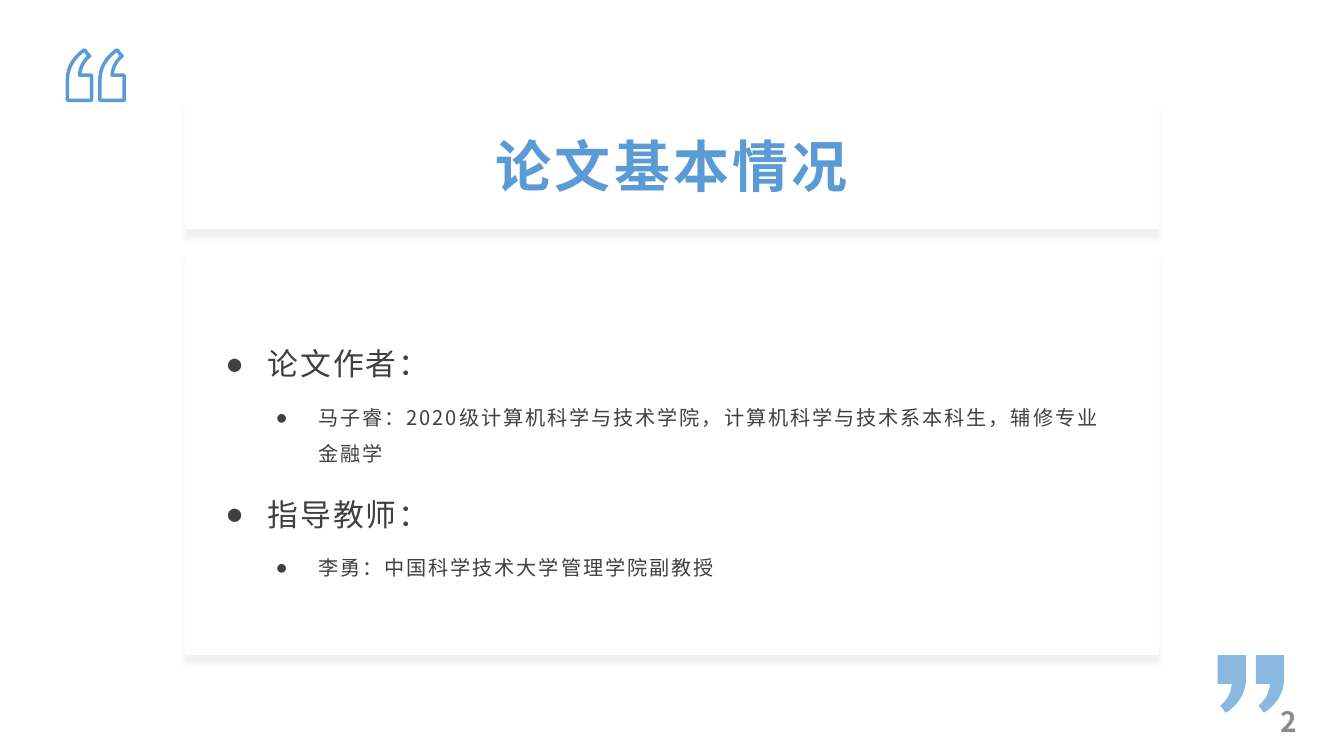
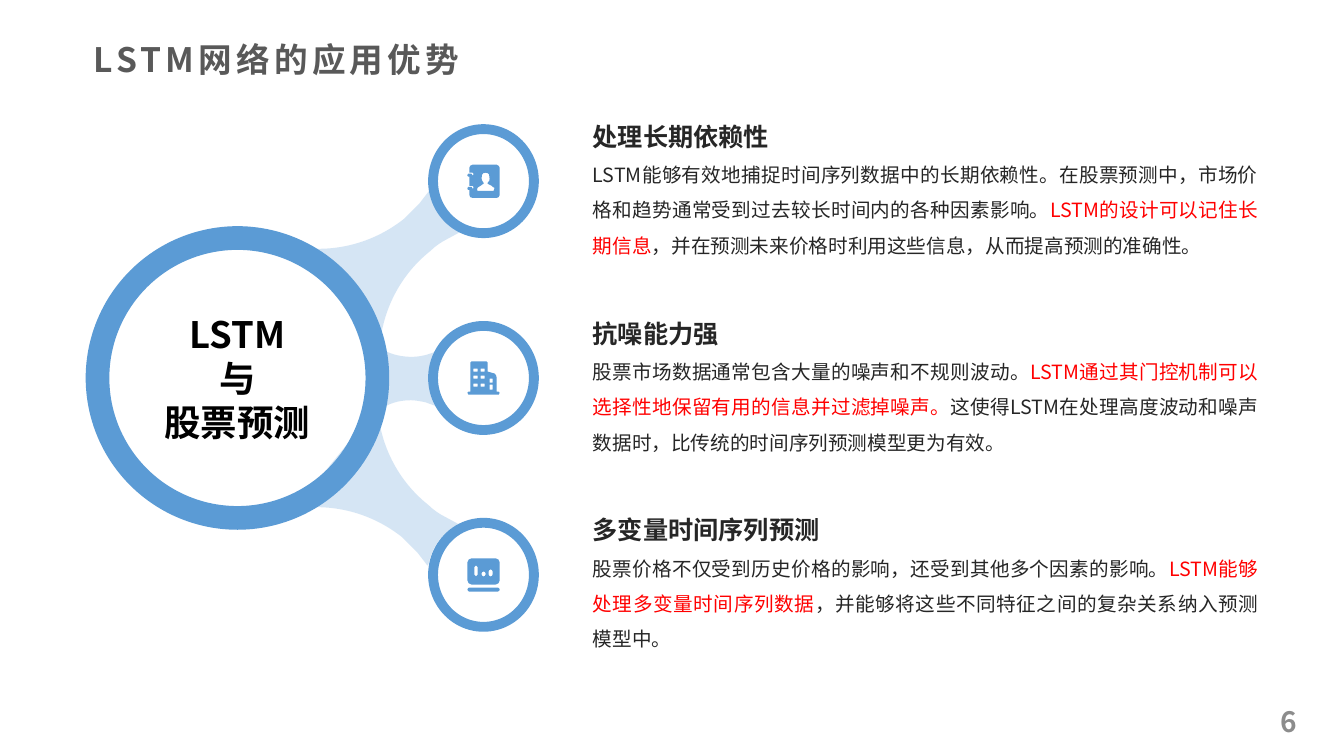
from lxml import etree
from pptx import Presentation
from pptx import util as u
from pptx.dml.color import RGBColor
from pptx.enum import shapes, text
from pptx.oxml.ns import qn

FONT = "Noto Sans CJK SC"
COLOURS = {
    "blue": "5B9BD5",
    "white": "FFFFFF",
    "black": "000000",
    "ink": "262626",
    "body": "404040",
    "title": "595959",
    "number": "8C8C8C",
    "highlight": "FF0000",
}
ALIGN = text.PP_ALIGN
ANCHOR = text.MSO_ANCHOR
PRESET = shapes.MSO_SHAPE


def rounded(left, top, width, height, radius):
    """Contour of a rectangle with rounded corners."""
    right, bottom, near = left + width, top + height, radius / 2
    return [
        (left + radius, top), (right - radius, top),
        (right - near, top, right, top + near, right, top + radius),
        (right, bottom - radius),
        (right, bottom - near, right - near, bottom, right - radius, bottom),
        (left + radius, bottom),
        (left + near, bottom, left, bottom - near, left, bottom - radius),
        (left, top + radius),
        (left, top + near, left + near, top, left + radius, top),
    ]


def box(left, top, width, height):
    right, bottom = left + width, top + height
    return [(left, top), (right, top), (right, bottom), (left, bottom)]


# Outlines are lists of contours on a grid of 100 units to 2.54 cm.
# Two numbers are a corner, six are a Bezier curve.
UNIT = u.Cm(2.54) / 100
QUOTE_MARK = [[
    (17, 0), (18, 1), (19, 3, 20, 4, 21, 5), (22, 6), (22, 6, 13, 12, 12, 25),
    (24, 25), (24, 50), (0, 50), (0, 28), (1, 9, 17, 0, 17, 0),
]]
MIDDLE_LINK = [[
    (0, 0), (6, 4), (14, 8, 23, 10, 33, 10), (38, 10, 43, 9, 47, 8), (56, 5),
    (54, 9), (51, 16, 49, 23, 49, 31), (49, 39, 51, 46, 54, 53), (57, 59),
    (46, 55), (41, 54, 36, 53, 32, 53), (22, 53, 13, 55, 5, 60), (0, 63),
]]
OUTER_LINK = [[
    (132, 0), (133, 1), (136, 16, 144, 29, 156, 37), (163, 41), (150, 48),
    (144, 51, 138, 55, 133, 60), (104, 83, 87, 116, 83, 151), (83, 158),
    (0, 56), (7, 57), (42, 61, 78, 51, 107, 28), (112, 23, 117, 18, 122, 13),
]]
CONTACT_ICON = [
    [
        (29, 0), (5, 0), (3, 0, 2, 2, 2, 3), (2, 8), (5, 8), (6, 8, 6, 8, 6, 9),
        (6, 10), (6, 10, 6, 11, 5, 11), (5, 10, 4, 9, 4, 9), (1, 9),
        (0, 9, 0, 10, 0, 11), (0, 12, 0, 12, 1, 12), (2, 12), (2, 21), (5, 21),
        (6, 21, 6, 21, 6, 22), (6, 23, 6, 24, 5, 24), (5, 23, 4, 22, 4, 22),
        (1, 22), (0, 22, 0, 22, 0, 23), (0, 25, 0, 25, 1, 25), (2, 25), (2, 30),
        (2, 32, 3, 33, 5, 33), (29, 33), (30, 33, 32, 32, 32, 30), (32, 3),
        (32, 2, 30, 0, 29, 0),
    ],
    [
        (26, 26), (10, 26), (10, 25, 9, 24, 10, 23), (10, 23, 11, 22, 13, 21),
        (14, 20, 16, 19, 16, 19), (16, 18), (15, 17, 14, 15, 14, 14),
        (14, 11, 14, 8, 18, 8), (22, 8, 22, 11, 22, 14), (22, 15, 22, 17, 20, 18),
        (20, 19), (20, 19, 22, 20, 24, 21), (25, 22, 26, 23, 27, 23),
        (27, 24, 27, 25, 26, 26),
    ],
]
BUILDING_ICON = [
    [
        (31, 30), (32, 31), (31, 33), (1, 33), (0, 31), (1, 30), (3, 30), (3, 1),
        (4, 0), (19, 0), (20, 1), (20, 10), (27, 12), (28, 13, 29, 14, 29, 16),
        (29, 30),
    ],
    box(22, 17, 3, 4),
    box(22, 23, 3, 5),
] + [box(left, top, 4, 3) for left in (6, 13) for top in (7, 14, 22)]
CHART_ICON = [
    rounded(0, 0, 32, 26, 4),
    rounded(0, 29, 32, 4, 2),
    rounded(7, 7, 3, 11, 1.5),
    rounded(14, 13, 4, 5, 2),
    rounded(21, 11, 4, 7, 2),
]

PROFILE = [
    (0, "论文作者："),
    (1, "马子睿：2020级计算机科学与技术学院，计算机科学与技术系本科生，辅修专业金融学"),
    (0, "指导教师："),
    (1, "李勇：中国科学技术大学管理学院副教授"),
]
ADVANTAGES = [
    (CONTACT_ICON, "处理长期依赖性", [
        ("LSTM能够有效地捕捉时间序列数据中的长期依赖性。在股票预测中，"
         "市场价格和趋势通常受到过去较长时间内的各种因素影响。", "ink"),
        ("LSTM的设计可以记住长期信息", "highlight"),
        ("，并在预测未来价格时利用这些信息，从而提高预测的准确性。", "ink"),
    ]),
    (BUILDING_ICON, "抗噪能力强", [
        ("股票市场数据通常包含大量的噪声和不规则波动。", "ink"),
        ("LSTM通过其门控机制可以选择性地保留有用的信息并过滤掉噪声。", "highlight"),
        ("这使得LSTM在处理高度波动和噪声数据时，比传统的时间序列预测模型更为有效。", "ink"),
    ]),
    (CHART_ICON, "多变量时间序列预测", [
        ("股票价格不仅受到历史价格的影响，还受到其他多个因素的影响。", "ink"),
        ("LSTM能够处理多变量时间序列数据", "highlight"),
        ("，并能够将这些不同特征之间的复杂关系纳入预测模型中。", "ink"),
    ]),
]


def rgb(name):
    return RGBColor.from_string(COLOURS[name])


def add_run(paragraph, words, size, colour, bold=False, spacing=0):
    """Add a run; spacing is the extra gap between letters in points."""
    run = paragraph.add_run()
    run.text = words
    run.font.size = u.Pt(size)
    run.font.bold = bold
    run.font.color.rgb = rgb(colour)
    run.font.name = FONT
    properties = run._r.get_or_add_rPr()
    etree.SubElement(properties, qn("a:ea"), typeface=FONT)
    if spacing:
        properties.set("spc", str(round(spacing * 100)))


def set_frame(frame, anchor, side=0.25, edge=0.13):
    """Prepare a text frame with its side and top/bottom insets in cm."""
    frame.word_wrap = True
    frame.auto_size = text.MSO_AUTO_SIZE.NONE
    frame.vertical_anchor = anchor
    frame.margin_left = frame.margin_right = u.Cm(side)
    frame.margin_top = frame.margin_bottom = u.Cm(edge)
    return frame


def add_text_box(slide, place, anchor, side=0.25, edge=0.13):
    shape = slide.shapes.add_textbox(*map(u.Cm, place))
    return set_frame(shape.text_frame, anchor, side, edge)


def next_paragraph(frame, align, line_spacing=1.0):
    """Use the empty first paragraph, or add another."""
    first = frame.paragraphs[0]
    paragraph = frame.add_paragraph() if first.runs else first
    paragraph.alignment = align
    paragraph.line_spacing = line_spacing
    return paragraph


def set_title(slide, words, place, size, colour, align, anchor, spacing):
    """Fill the title placeholder and bring it in front of what is drawn so far."""
    title = slide.shapes.title
    title.left, title.top, title.width, title.height = map(u.Cm, place)
    frame = set_frame(title.text_frame, anchor)
    add_run(next_paragraph(frame, align), words, size, colour, True, spacing)
    tree = title.element.getparent()
    tree.append(title.element)


def add_page_number(slide, number):
    frame = add_text_box(slide, (25.32, 17.67, 7.62, 1.02), ANCHOR.MIDDLE)
    add_run(next_paragraph(frame, ALIGN.RIGHT), number, 20, "number", True)


def paint(shape, colour, opacity=100):
    shape.shadow.inherit = False
    shape.line.fill.background()
    shape.fill.solid()
    shape.fill.fore_color.rgb = rgb(colour)
    if opacity < 100:
        fill = shape.element.spPr.find(qn("a:solidFill"))
        etree.SubElement(fill[0], qn("a:alpha"), val=str(opacity * 1000))


def add_preset(slide, preset, place, colour):
    shape = slide.shapes.add_shape(preset, *map(u.Cm, place))
    paint(shape, colour)
    return shape


def add_ring(slide, place, thickness):
    ring = add_preset(slide, PRESET.DONUT, place, "blue")
    ring.adjustments[0] = thickness


def add_card(slide, top, height):
    card = add_preset(slide, PRESET.RECTANGLE, (4.66, top, 24.56, height), "white")
    effects = card.element.spPr.find(qn("a:effectLst"))
    shadow = etree.SubElement(
        effects, qn("a:outerShdw"), blurRad=str(u.Pt(4)), dist=str(u.Pt(6)),
        dir="5400000", algn="t", rotWithShape="0")
    black = etree.SubElement(shadow, qn("a:srgbClr"), val=COLOURS["black"])
    etree.SubElement(black, qn("a:alpha"), val="6000")


def add_outline(slide, contours, left, top, scale_x=1, scale_y=1):
    """Draw contours from an origin in cm; a negative scale mirrors them."""
    def place(x, y):
        return (round(u.Cm(left) + x * scale_x * UNIT), round(u.Cm(top) + y * scale_y * UNIT))

    builder = slide.shapes.build_freeform(*place(*contours[0][0]))
    for index, contour in enumerate(contours):
        if index:
            builder.move_to(*place(*contour[0]))
        builder.add_line_segments([place(*part[-2:]) for part in contour[1:]], close=True)
    shape = builder.convert_to_shape()
    parts = [part for contour in contours for part in contour[1:]]
    for line, part in zip(list(shape.element.iter(qn("a:lnTo"))), parts):
        if len(part) == 6:
            bend(line, [place(*part[i:i + 2]) for i in (0, 2, 4)], shape)
    return shape


def bend(line, points, shape):
    """Replace a straight path segment by a Bezier curve."""
    curve = etree.Element(qn("a:cubicBezTo"))
    for x, y in points:
        etree.SubElement(curve, qn("a:pt"), x=str(x - shape.left), y=str(y - shape.top))
    line.getparent().replace(line, curve)


def add_quote_marks(slide):
    for index in range(2):
        opening = add_outline(slide, QUOTE_MARK, 1.7 + index * 0.82, 1.26)
        opening.shadow.inherit = False
        opening.fill.background()
        opening.line.color.rgb = rgb("blue")
        opening.line.width = u.Pt(2.5)
        closing = add_outline(slide, QUOTE_MARK, 32.36 - index * 0.96, 17.96, -1.17, -1.14)
        paint(closing, "blue", 70)


def add_bullet(frame, level, words):
    paragraph = next_paragraph(frame, ALIGN.LEFT, 1.5)
    paragraph.level = level
    paragraph.space_after = u.Pt(8)
    properties = paragraph._p.get_or_add_pPr()
    properties.set("marL", str(u.Cm(1.07 + level * 1.27)))
    properties.set("indent", str(u.Cm(-1.07)))
    etree.SubElement(properties, qn("a:buFont"), typeface="Arial")
    etree.SubElement(properties, qn("a:buChar"), char="●")
    add_run(paragraph, words, (22, 14.4)[level], "body", spacing=1.4)


def add_advantage(slide, index, icon, heading, runs):
    offset = index * 4.96
    add_ring(slide, (10.79, 3.13 + offset, 2.79, 2.87), 0.089)
    paint(add_outline(slide, icon, 11.78, 4.15 + offset), "blue")
    frame = add_text_box(slide, (14.94, 2.67 + offset, 16.77, 3.78), ANCHOR.TOP, 0, 0)
    add_run(next_paragraph(frame, ALIGN.JUSTIFY, 1.5), heading, 18, "ink", True)
    paragraph = next_paragraph(frame, ALIGN.JUSTIFY, 1.5)
    for words, colour in runs:
        add_run(paragraph, words, 14, colour)


def build_profile_slide(slide):
    add_quote_marks(slide)
    add_card(slide, 6.38, 10.13)
    add_card(slide, 2.54, 3.23)
    set_title(slide, "论文基本情况", (5.5, 3.18, 22.86, 1.96), 40, "blue",
              ALIGN.CENTER, ANCHOR.MIDDLE, 2.4)
    frame = add_text_box(slide, (5.5, 7.21, 22.86, 8.43), ANCHOR.MIDDLE, 0.18, 0.08)
    for level, words in PROFILE:
        add_bullet(frame, level, words)
    add_page_number(slide, "2")


def build_advantages_slide(slide):
    set_title(slide, "LSTM网络的应用优势", (2.11, 0.86, 12.27, 1.27), 24, "title",
              ALIGN.LEFT, ANCHOR.TOP, 3)
    paint(add_outline(slide, MIDDLE_LINK, 9.55, 8.74), "blue", 25)
    paint(add_outline(slide, OUTER_LINK, 7.47, 4.8), "blue", 25)
    add_ring(slide, (2.16, 5.7, 7.65, 7.65), 0.078)
    frame = add_text_box(slide, (3.18, 7.53, 5.61, 3.99), ANCHOR.MIDDLE, 0, 0)
    for words in ("LSTM", "与", "股票预测"):
        add_run(next_paragraph(frame, ALIGN.CENTER), words, 26, "black", True)
    for index, advantage in enumerate(ADVANTAGES):
        add_advantage(slide, index, *advantage)
    paint(add_outline(slide, OUTER_LINK, 7.42, 14.25, 1, -1), "blue", 25)
    add_page_number(slide, "6")


def main():
    presentation = Presentation()
    presentation.slide_width = u.Cm(33.87)
    presentation.slide_height = u.Cm(19.05)
    title_only = presentation.slide_layouts[5]
    for build in (build_profile_slide, build_advantages_slide):
        build(presentation.slides.add_slide(title_only))
    presentation.save("out.pptx")


if __name__ == "__main__":
    main()
